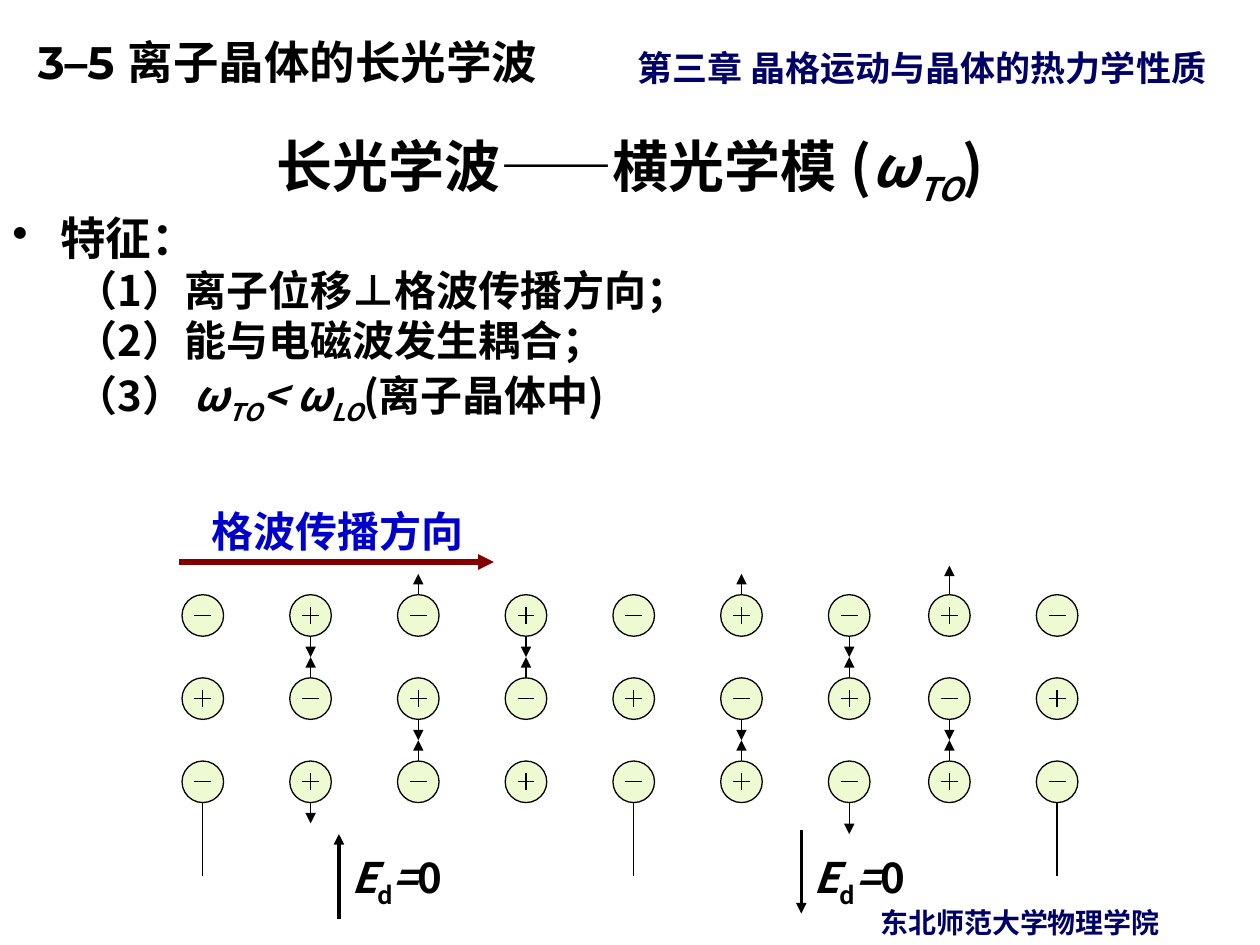
from dataclasses import dataclass

from pptx import Presentation
from pptx.dml.color import RGBColor
from pptx.enum.shapes import MSO_CONNECTOR as Connector, MSO_SHAPE as Shape
from pptx.enum.text import MSO_ANCHOR as Anchor, PP_ALIGN as Align
from pptx.oxml.ns import qn
from pptx.oxml.xmlchemy import OxmlElement
from pptx.util import Inches, Pt

WIDTH, HEIGHT = 10, 7.5
CJK, LATIN = "Noto Sans CJK SC", "Montserrat"
BLACK, NAVY, BLUE, MAROON, ION_FILL = "000000", "000066", "0000CC", "800000", "EDFAD2"

# Ion lattice: equal columns, with the last two set slightly to the left
COLUMN_STEP, ROW_STEP = 0.855, 0.66
COLUMNS = [1.61 + COLUMN_STEP * i - (0.06 if i > 6 else 0) for i in range(9)]
ROWS = [4.885 + ROW_STEP * i for i in range(3)]
RADIUS, SIGN_ARM = 0.165, 0.067
UP, DOWN = -1, 1


@dataclass(frozen=True)
class Run:
    text: str
    italic: bool = False
    subscript: bool = False


@dataclass(frozen=True)
class Displacement:
    column: int
    row: int
    direction: int
    length: float = 0.165


def facing_pair(column: int, upper_row: int) -> list[Displacement]:
    return [Displacement(column, upper_row, DOWN), Displacement(column, upper_row + 1, UP)]


DISPLACEMENTS = [
    *(arrow for column in (1, 3, 6) for arrow in facing_pair(column, 0)),
    *(arrow for column in (2, 5, 7) for arrow in facing_pair(column, 1)),
    Displacement(2, 0, UP),
    Displacement(5, 0, UP),
    Displacement(7, 0, UP, 0.23),
    Displacement(1, 2, DOWN),
    Displacement(6, 2, DOWN, 0.25),
]


def color(value: str) -> RGBColor:
    return RGBColor.from_string(value)


def add_runs(paragraph, runs: list[Run], size: float, fill: str, font: str) -> None:
    for item in runs:
        run = paragraph.add_run()
        run.text = item.text
        run.font.size = Pt(size)
        run.font.bold = True
        run.font.italic = item.italic
        run.font.name = font
        run.font.color.rgb = color(fill)
        properties = run._r.get_or_add_rPr()
        if item.subscript:
            properties.set("baseline", "-25000")
        east_asian = OxmlElement("a:ea")
        east_asian.set("typeface", CJK)
        properties.find(qn("a:latin")).addnext(east_asian)


def add_text(slide, box: tuple, runs: list[Run], size: float, *, fill: str = BLACK,
             font: str = CJK, align=Align.LEFT, anchor=Anchor.TOP,
             spacing: float = 1.0, left_margin: float = 0.1):
    frame = slide.shapes.add_textbox(*map(Inches, box)).text_frame
    frame.word_wrap = True
    frame.vertical_anchor = anchor
    frame.margin_left = Inches(left_margin)
    paragraph = frame.paragraphs[0]
    paragraph.alignment = align
    paragraph.line_spacing = spacing
    add_runs(paragraph, runs, size, fill, font)
    return frame


def set_indent(paragraph, left: float, hanging: float, bullet: str = "") -> None:
    properties = paragraph._p.get_or_add_pPr()
    properties.set("marL", str(Inches(left)))
    properties.set("indent", str(-Inches(hanging)))
    if bullet:
        mark = OxmlElement("a:buChar")
        mark.set("char", bullet)
        properties.append(mark)


def add_line(slide, start: tuple, end: tuple, *, width: float = 0.75,
             fill: str = BLACK, arrow: bool = False) -> None:
    line = slide.shapes.add_connector(Connector.STRAIGHT, *map(Inches, (*start, *end)))
    line.line.width = Pt(width)
    line.line.color.rgb = color(fill)
    if arrow:
        tail = OxmlElement("a:tailEnd")
        tail.set("type", "triangle")
        line.line._get_or_add_ln().append(tail)
    line._element.spPr.append(OxmlElement("a:effectLst"))


def add_ion(slide, x: float, y: float, positive: bool) -> None:
    ion = slide.shapes.add_shape(
        Shape.OVAL, *map(Inches, (x - RADIUS, y - RADIUS, 2 * RADIUS, 2 * RADIUS)))
    ion.shadow.inherit = False
    ion.fill.solid()
    ion.fill.fore_color.rgb = color(ION_FILL)
    ion.line.color.rgb = color(BLACK)
    ion.line.width = Pt(0.75)
    add_line(slide, (x - SIGN_ARM, y), (x + SIGN_ARM, y))
    if positive:
        add_line(slide, (x, y - SIGN_ARM), (x, y + SIGN_ARM))


def add_headings(slide) -> None:
    add_text(slide, (4.96, 0.32, 5.04, 0.44), [Run("第三章 晶格运动与晶体的热力学性质")], 20, fill=NAVY)
    add_text(slide, (0, 0.11, 4.9, 0.65), [Run("3–5 离子晶体的长光学波")], 26, font=LATIN,
             anchor=Anchor.MIDDLE, spacing=1.25, left_margin=0.3)
    add_text(slide, (6.89, 7.14, 3.11, 0.36), [Run("东北师范大学物理学院")], 16, fill=NAVY)
    title = [Run("长光学波——横光学模 ("), Run("ω", True), Run("TO", True, True), Run(")")]
    add_text(slide, (0.5, 0.91, 9, 0.74), title, 32,
             align=Align.CENTER, anchor=Anchor.BOTTOM, spacing=0.9)


def add_features(slide) -> None:
    frame = add_text(slide, (0, 1.67, 8.5, 2), [Run("特征：")], 26, spacing=0.9)
    set_indent(frame.paragraphs[0], 0.38, 0.38, "•")
    features = [
        [Run("（1）离子位移⊥格波传播方向；")],
        [Run("（2）能与电磁波发生耦合；")],
        [Run("（3） "), Run("ω", True), Run("TO", True, True), Run("< ω", True),
         Run("LO", True, True), Run("(离子晶体中)")],
    ]
    for runs in features:
        paragraph = frame.add_paragraph()
        set_indent(paragraph, 0.81, 0.31)
        paragraph.line_spacing = 0.9
        paragraph.space_before = Pt(2.6)
        add_runs(paragraph, runs, 24, BLACK, CJK)


def add_lattice(slide) -> None:
    for row, y in enumerate(ROWS):
        for column, x in enumerate(COLUMNS):
            add_ion(slide, x, y, positive=(row + column) % 2 == 1)
    for item in DISPLACEMENTS:
        x = COLUMNS[item.column]
        edge = ROWS[item.row] + item.direction * RADIUS
        add_line(slide, (x, edge), (x, edge + item.direction * item.length), arrow=True)
    for column in (0, 4, 8):
        x = COLUMNS[column]
        add_line(slide, (x, ROWS[-1] + RADIUS), (x, 6.95))


def add_fields(slide) -> None:
    label = [Run("E", True), Run("d", False, True), Run("=", True), Run("0")]
    for x, start, end in ((2.69, 7.29, 6.62), (6.36, 6.59, 7.25)):
        add_line(slide, (x, start), (x, end), width=2, arrow=True)
        add_text(slide, (x, 6.71, 1.05, 0.5), label, 24)


def main() -> None:
    presentation = Presentation()
    presentation.slide_width, presentation.slide_height = Inches(WIDTH), Inches(HEIGHT)
    slide = presentation.slides.add_slide(presentation.slide_layouts[6])
    add_headings(slide)
    add_features(slide)
    add_lattice(slide)
    add_fields(slide)
    add_line(slide, (1.42, 4.46), (3.92, 4.46), width=3, fill=MAROON, arrow=True)
    add_text(slide, (1.58, 3.96, 2.67, 0.5), [Run("格波传播方向")], 24, fill=BLUE)
    presentation.save("out.pptx")


if __name__ == "__main__":
    main()
